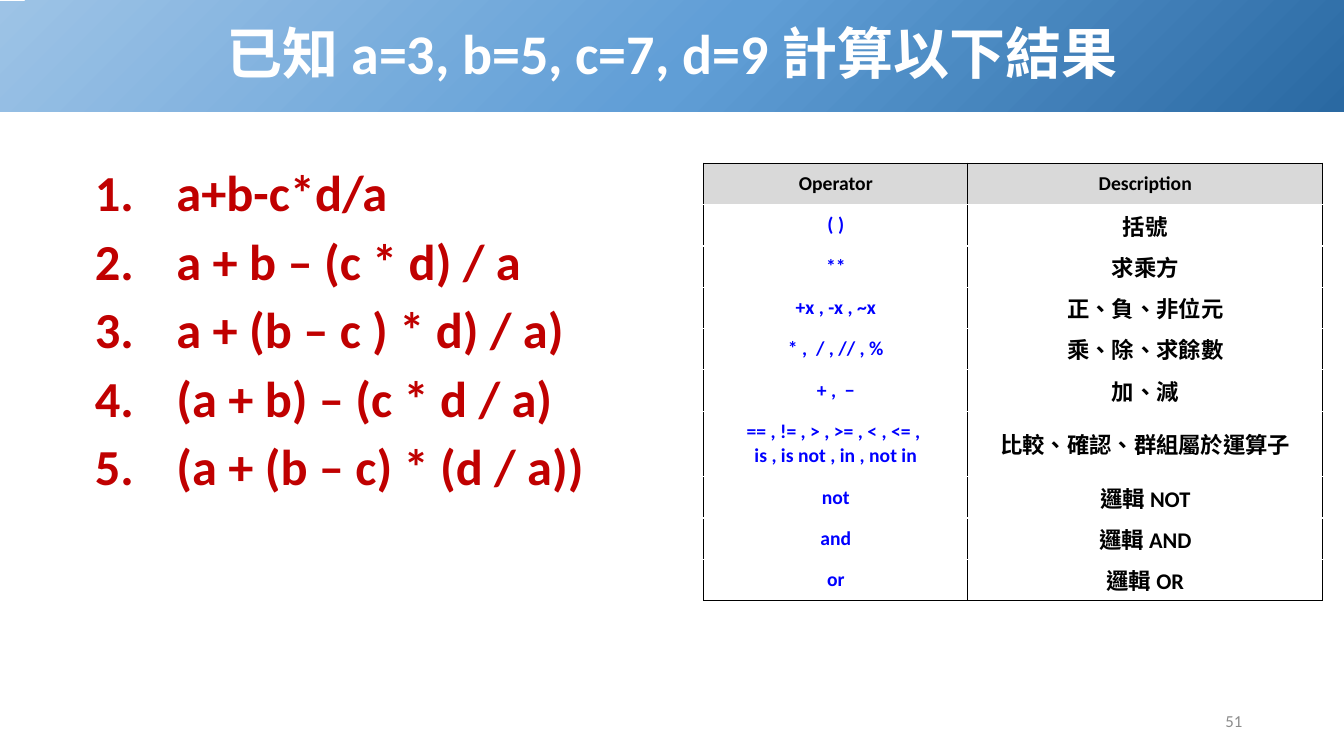
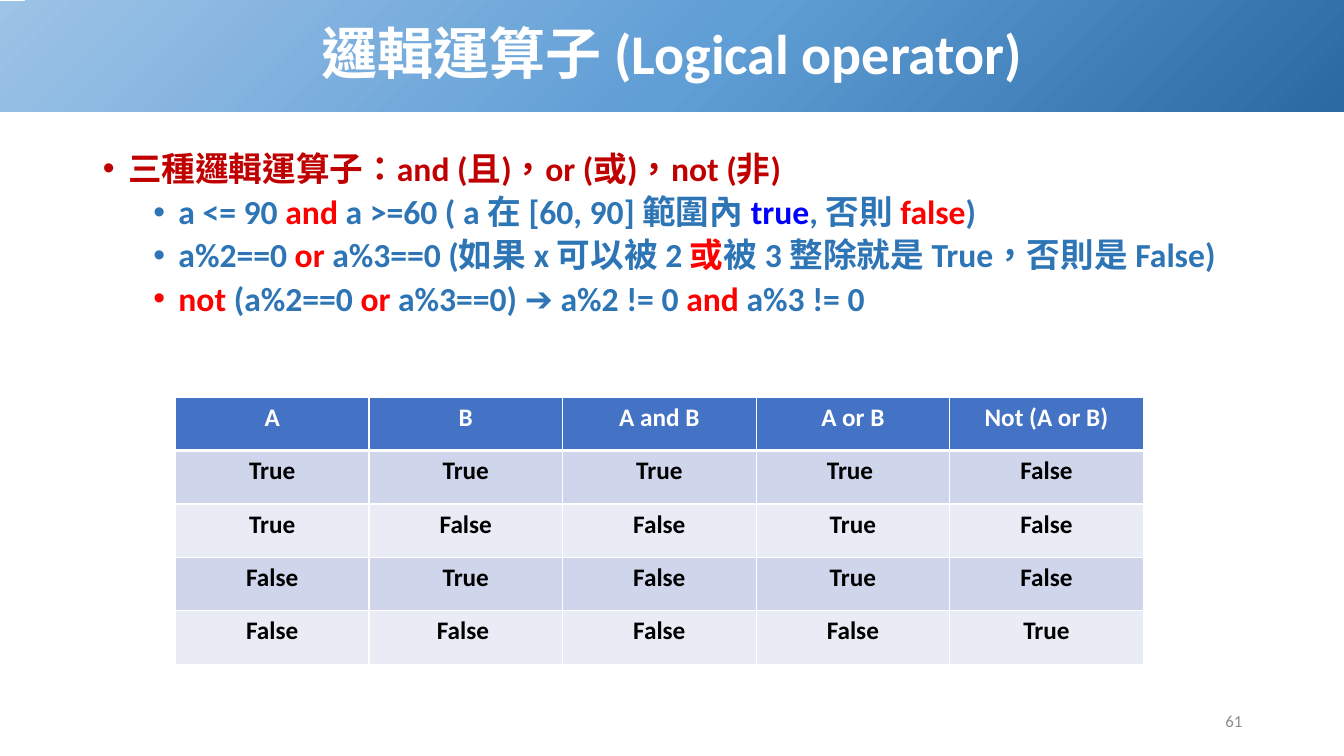
from lxml import etree
from pptx import Presentation
from pptx.dml.color import RGBColor
from pptx.enum import lang, text
from pptx.oxml import ns, parse_xml
from pptx.util import Inches, Pt

FONT = "Calibri"
WHITE = RGBColor(0xFF, 0xFF, 0xFF)
BLACK = RGBColor(0x00, 0x00, 0x00)
DEEP_BLUE = RGBColor(0x2A, 0x69, 0xA2)
MID_BLUE = RGBColor(0x60, 0x9E, 0xD6)
PALE_BLUE = RGBColor(0x9D, 0xC3, 0xE6)
TEXT_BLUE = RGBColor(0x2E, 0x75, 0xB6)
PURE_BLUE = RGBColor(0x00, 0x00, 0xFF)
HEADER_BLUE = RGBColor(0x44, 0x72, 0xC4)
BAND_DARK = RGBColor(0xCF, 0xD5, 0xEA)
BAND_LIGHT = RGBColor(0xE9, 0xEB, 0xF5)
DARK_RED = RGBColor(0xC0, 0x00, 0x00)
RED = RGBColor(0xFF, 0x00, 0x00)
GREY = RGBColor(0x8C, 0x8C, 0x8C)
LIGHT_GREY = RGBColor(0xD9, 0xD9, 0xD9)

TITLE_BOX = (0, 0.01, 13.33, 1.1)
NUMBER_BOX = (9.42, 6.95, 3, 0.4)
TITLE_STOPS = ((0, DEEP_BLUE), (48, MID_BLUE), (100, PALE_BLUE))

EXPRESSIONS = (
    "a+b-c*d/a",
    "a + b – (c * d) / a",
    "a + (b – c ) * d) / a)",
    "(a + b) – (c * d / a)",
    "(a + (b – c) * (d / a))",
)
OPERATORS = (
    ("Operator", "Description"),
    ("( )", "括號"),
    ("**", "求乘方"),
    ("+x , -x , ~x", "正、負、非位元"),
    ("* ,  / , // , %", "乘、除、求餘數"),
    ("+ ,  −", "加、減"),
    ("== , != , > , >= , < , <= , \nis , is not , in , not in", "比較、確認、群組屬於運算子"),
    ("not", "邏輯 NOT"),
    ("and", "邏輯 AND"),
    ("or", "邏輯 OR"),
)
LOGIC_POINTS = (
    (0, (("三種邏輯運算子：and (且)，or (或)，not (非)", DARK_RED),)),
    (1, (("a <= 90 ", TEXT_BLUE), ("and", RED), (" a >=60 ( a 在 [60, 90] 範圍內 ", TEXT_BLUE),
         ("true", PURE_BLUE), (", 否則 ", TEXT_BLUE), ("false", RED), (")", TEXT_BLUE))),
    (1, (("a%2==0 ", TEXT_BLUE), ("or", RED), (" a%3==0 (如果 x 可以被 2 ", TEXT_BLUE),
         ("或", RED), ("被 3 整除就是 True，否則是 False)", TEXT_BLUE))),
    (1, (("not", RED), (" (a%2==0 ", TEXT_BLUE), ("or", RED),
         (" a%3==0) ➔ a%2 != 0 ", TEXT_BLUE), ("and", RED), (" a%3 != 0", TEXT_BLUE))),
)
TRUTH_ROWS = (
    ("A", "B", "A and B", "A or B", "Not (A or B)"),
    ("True", "True", "True", "True ", "False"),
    ("True", "False", "False", "True", "False"),
    ("False", "True", "False", "True", "False"),
    ("False", "False ", "False", "False", "True"),
)


def place(shape, box):
    """Move a shape to a box given in inches."""
    shape.left, shape.top, shape.width, shape.height = map(Inches, box)


def add_span(para, words, size, color, bold=True):
    """Add one formatted run to a paragraph."""
    span = para.add_run()
    span.text = words
    font = span.font
    font.name, font.size, font.bold = FONT, Pt(size), bold
    font.color.rgb = color
    font.language_id = lang.MSO_LANGUAGE_ID.TRADITIONAL_CHINESE


def add_title(page, words, box):
    """Fill the title placeholder as a gradient band."""
    title = page.shapes.title
    place(title, box)
    stops = "".join(
        f'<a:gs pos="{percent * 1000}"><a:srgbClr val="{color}"/></a:gs>'
        for percent, color in TITLE_STOPS
    )
    title._element.spPr.append(parse_xml(
        f'<a:gradFill {ns.nsdecls("a")} rotWithShape="1"><a:gsLst>{stops}</a:gsLst>'
        '<a:path path="circle"><a:fillToRect l="100000" t="100000"/></a:path></a:gradFill>'
    ))
    frame = title.text_frame
    frame.auto_size = text.MSO_AUTO_SIZE.NONE
    frame.vertical_anchor = text.MSO_ANCHOR.MIDDLE
    para = frame.paragraphs[0]
    para.alignment = text.PP_ALIGN.CENTER
    para.line_spacing = 0.9
    add_span(para, words, 40, WHITE)


def add_page_number(page, number, box):
    """Write the page number at the lower right."""
    label = page.shapes.add_textbox(*map(Inches, box))
    frame = label.text_frame
    frame.word_wrap = True
    frame.vertical_anchor = text.MSO_ANCHOR.MIDDLE
    para = frame.paragraphs[0]
    para.alignment = text.PP_ALIGN.RIGHT
    add_span(para, str(number), 12, GREY, bold=False)


def set_bullet(para, margin, hanging, numbered):
    """Give a paragraph a hanging number or dot."""
    props = para._p.get_or_add_pPr()
    props.set("marL", str(Inches(margin)))
    props.set("indent", str(-Inches(hanging)))
    typeface = FONT if numbered else "Arial"
    etree.SubElement(props, ns.qn("a:buFont"), typeface=typeface)
    if numbered:
        etree.SubElement(props, ns.qn("a:buAutoNum"), type="arabicPeriod")
    else:
        etree.SubElement(props, ns.qn("a:buChar"), char="•")


def add_list(page, points, box, size, numbered=False):
    """Fill the body placeholder with (level, spans) points."""
    body = page.placeholders[1]
    place(body, box)
    frame = body.text_frame
    frame.auto_size = text.MSO_AUTO_SIZE.NONE
    hanging = 0.81 if numbered else 0.25
    for index, (level, spans) in enumerate(points):
        para = frame.add_paragraph() if index else frame.paragraphs[0]
        para.level = level
        set_bullet(para, hanging + 0.5 * level, hanging, numbered)
        para.alignment = text.PP_ALIGN.LEFT
        para.line_spacing = 0.9
        para.space_before = Pt((5 if level else 10) if index else 0)
        for words, color in spans:
            add_span(para, words, size, color)


def set_border(cell, side, color, width):
    """Draw one side of a cell."""
    cell._tc.get_or_add_tcPr().append(parse_xml(
        f'<a:ln{side} {ns.nsdecls("a")} w="{Pt(width)}"><a:solidFill>'
        f'<a:srgbClr val="{color}"/></a:solidFill></a:ln{side}>'
    ))


def add_grid(page, rows, box, widths, heights, border, style, header_rule=1):
    """Add a table; style gives size, colour and fill for a row and column."""
    shape = page.shapes.add_table(len(rows), len(widths), *map(Inches, box))
    grid = shape.table
    grid.first_row = grid.horz_banding = False
    for column, width in zip(grid.columns, widths):
        column.width = Inches(width)
    for r, (values, height) in enumerate(zip(rows, heights)):
        grid.rows[r].height = Inches(height)
        for c, value in enumerate(values):
            cell = grid.cell(r, c)
            size, color, fill = style(r, c)
            for side in "LRB" if r else "LRTB":
                thick = header_rule if r == 0 and side == "B" else 1
                set_border(cell, side, border, thick)
            if fill is None:
                cell.fill.background()
            else:
                cell.fill.solid()
                cell.fill.fore_color.rgb = fill
            for index, line in enumerate(value.split("\n")):
                frame = cell.text_frame
                para = frame.add_paragraph() if index else frame.paragraphs[0]
                para.alignment = text.PP_ALIGN.CENTER
                add_span(para, line, size, color)
    return grid


def operator_style(row, column):
    """Style of a cell in the operator table."""
    if row == 0:
        return 14, BLACK, LIGHT_GREY
    return (16, BLACK, None) if column else (14, PURE_BLUE, None)


def truth_style(row, column):
    """Style of a cell in the truth table."""
    if row == 0:
        return 18, WHITE, HEADER_BLUE
    return 18, BLACK, BAND_DARK if row % 2 else BAND_LIGHT


def add_page(deck, title, number):
    """Add a slide with the shared title band and page number."""
    page = deck.slides.add_slide(deck.slide_layouts[1])
    add_title(page, title, TITLE_BOX)
    add_page_number(page, number, NUMBER_BOX)
    return page


def build_exercise(deck):
    """Build the exercise slide with the operator table."""
    page = add_page(deck, "已知 a=3, b=5, c=7, d=9 計算以下結果", 51)
    points = [(0, ((words, DARK_RED),)) for words in EXPRESSIONS]
    add_list(page, points, (0.84, 1.62, 6.46, 4.8), 36, numbered=True)
    heights = [0.65 if "\n" in row[0] else 0.41 for row in OPERATORS]
    grid = add_grid(page, OPERATORS, (6.98, 1.62, 6.14, 4.3), (2.62, 3.52),
                    heights, BLACK, operator_style)
    for cell in grid.iter_cells():
        cell.vertical_anchor = text.MSO_ANCHOR.MIDDLE
        cell.margin_left = cell.margin_right = Inches(0.04)
        cell.margin_top = cell.margin_bottom = Inches(0.02)


def build_logic(deck):
    """Build the logical operator slide with the truth table."""
    page = add_page(deck, "邏輯運算子 (Logical operator)", 61)
    add_list(page, LOGIC_POINTS, (0.92, 1.46, 11.5, 5.46), 24)
    add_grid(page, TRUTH_ROWS, (1.74, 3.94, 9.62, 2.64), [1.92] * 5,
             [0.53] * 5, WHITE, truth_style, header_rule=3)


def main():
    """Build and save the deck."""
    deck = Presentation()
    deck.slide_width, deck.slide_height = Inches(13.33), Inches(7.5)
    build_exercise(deck)
    build_logic(deck)
    deck.save("out.pptx")


if __name__ == "__main__":
    main()
